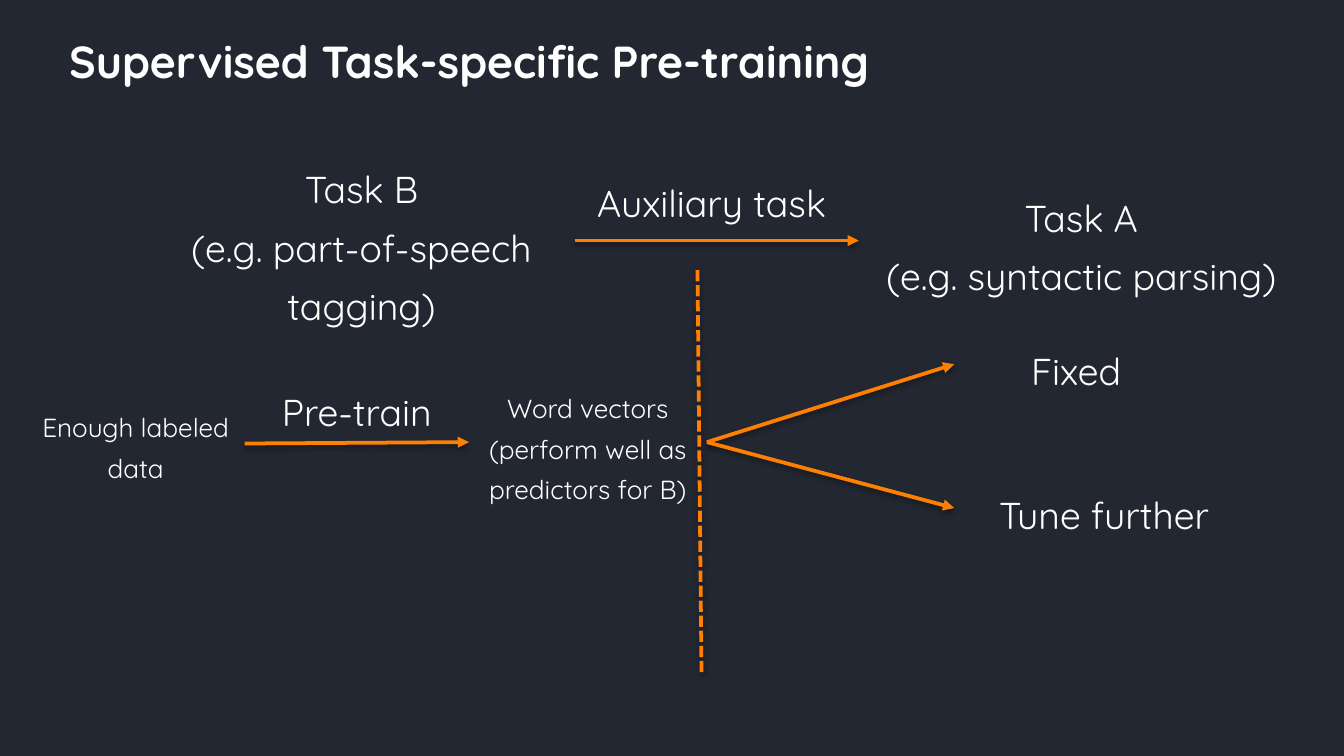
from dataclasses import dataclass

from lxml import etree
from pptx import Presentation
from pptx.dml.color import RGBColor
from pptx.enum.dml import MSO_LINE
from pptx.enum.shapes import MSO_CONNECTOR
from pptx.enum.text import MSO_ANCHOR, MSO_AUTO_SIZE, PP_ALIGN
from pptx.oxml import parse_xml
from pptx.oxml.ns import nsdecls, qn
from pptx.shapes.connector import Connector
from pptx.slide import Slide
from pptx.text.text import TextFrame
from pptx.util import Inches, Pt

CENTER = PP_ALIGN.CENTER
TOP = MSO_ANCHOR.TOP
MIDDLE = MSO_ANCHOR.MIDDLE
NO_AUTOFIT = MSO_AUTO_SIZE.NONE
STRAIGHT = MSO_CONNECTOR.STRAIGHT
SHORT_DASH = MSO_LINE.SQUARE_DOT

SLIDE_WIDTH = 10
SLIDE_HEIGHT = SLIDE_WIDTH * 9 / 16


@dataclass(frozen=True)
class Theme:
    background: RGBColor = RGBColor(0x22, 0x27, 0x32)
    text: RGBColor = RGBColor(0xFF, 0xFF, 0xFF)
    accent: RGBColor = RGBColor(0xFF, 0x7F, 0x01)
    font: str = "Quicksand"
    title_size: int = 24
    label_size: int = 20
    detail_size: int = 14
    line_width: int = 2
    label_spacing: float = 1.3


THEME = Theme()


@dataclass(frozen=True)
class Label:
    text: str
    left: float
    top: float
    width: float
    height: float
    size: int = THEME.label_size


@dataclass(frozen=True)
class Link:
    start: tuple[float, float]
    end: tuple[float, float]
    is_divider: bool = False


TITLE = Label("Supervised Task-specific Pre-training", 0.23, 0.2, 6.52, 0.5, THEME.title_size)

LABELS = [
    Label("Task A\n(e.g. syntactic parsing)", 6.39, 1.3, 3.31, 0.98),
    Label("Task B\n(e.g. part-of-speech tagging)", 1.1, 1.09, 3.18, 1.41),
    Label("Enough labeled data", 0.21, 2.94, 1.6, 0.71, THEME.detail_size),
    Label("Pre-train", 1.67, 2.75, 1.97, 0.54),
    Label("Word vectors\n(perform well as predictors for B)", 3.49, 2.8, 1.77, 0.99, THEME.detail_size),
    Label("Auxiliary task", 3.64, 1.19, 3.31, 0.49),
    Label("Fixed ", 7.1, 2.44, 1.89, 0.54),
    Label("Tune further", 7.1, 3.51, 2.23, 0.54),
]

WORD_VECTORS_EXIT = (5.26, 3.29)
LINKS = [
    Link((4.28, 1.79), (6.39, 1.79)),
    Link((1.82, 3.3), (3.49, 3.29)),
    Link(WORD_VECTORS_EXIT, (7.1, 2.71)),
    Link(WORD_VECTORS_EXIT, (7.1, 3.78)),
    Link((5.19, 2.01), (5.22, 5.02), is_divider=True),
]


def write_text(frame: TextFrame, label: Label, anchor: MSO_ANCHOR, spacing: float, bold: bool) -> None:
    frame.text = label.text
    frame.word_wrap = True
    frame.auto_size = NO_AUTOFIT
    frame.vertical_anchor = anchor
    for paragraph in frame.paragraphs:
        paragraph.alignment = CENTER
        paragraph.line_spacing = spacing
        paragraph.font.name = THEME.font
        paragraph.font.size = Pt(label.size)
        paragraph.font.bold = bold
        paragraph.font.color.rgb = THEME.text


def add_title(slide: Slide, label: Label) -> None:
    title = slide.shapes.title
    title.left, title.top = Inches(label.left), Inches(label.top)
    title.width, title.height = Inches(label.width), Inches(label.height)
    write_text(title.text_frame, label, MIDDLE, 1.0, True)


def add_label(slide: Slide, label: Label) -> None:
    box = slide.shapes.add_textbox(
        Inches(label.left), Inches(label.top), Inches(label.width), Inches(label.height)
    )
    write_text(box.text_frame, label, TOP, THEME.label_spacing, False)


def add_shadow(connector: Connector) -> None:
    connector._element.spPr.append(parse_xml(
        f'<a:effectLst {nsdecls("a")}>'
        f'<a:outerShdw blurRad="{Pt(3.1)}" dist="{Pt(1.6)}" dir="5400000" rotWithShape="0">'
        '<a:srgbClr val="000000"><a:alpha val="38000"/></a:srgbClr>'
        '</a:outerShdw></a:effectLst>'
    ))


def add_link(slide: Slide, link: Link) -> None:
    ends = [Inches(value) for value in link.start + link.end]
    connector = slide.shapes.add_connector(STRAIGHT, *ends)
    connector.line.color.rgb = THEME.accent
    connector.line.width = Pt(THEME.line_width)
    if link.is_divider:
        connector.line.dash_style = SHORT_DASH
    else:
        outline = connector._element.spPr.find(qn("a:ln"))
        etree.SubElement(outline, qn("a:tailEnd"), type="triangle")
    add_shadow(connector)


def main() -> None:
    presentation = Presentation()
    presentation.slide_width = Inches(SLIDE_WIDTH)
    presentation.slide_height = Inches(SLIDE_HEIGHT)
    title_only = presentation.slide_layouts.get_by_name("Title Only")
    slide = presentation.slides.add_slide(title_only)
    slide.background.fill.solid()
    slide.background.fill.fore_color.rgb = THEME.background
    add_title(slide, TITLE)
    for label in LABELS:
        add_label(slide, label)
    for link in LINKS:
        add_link(slide, link)
    presentation.save("out.pptx")


main()
